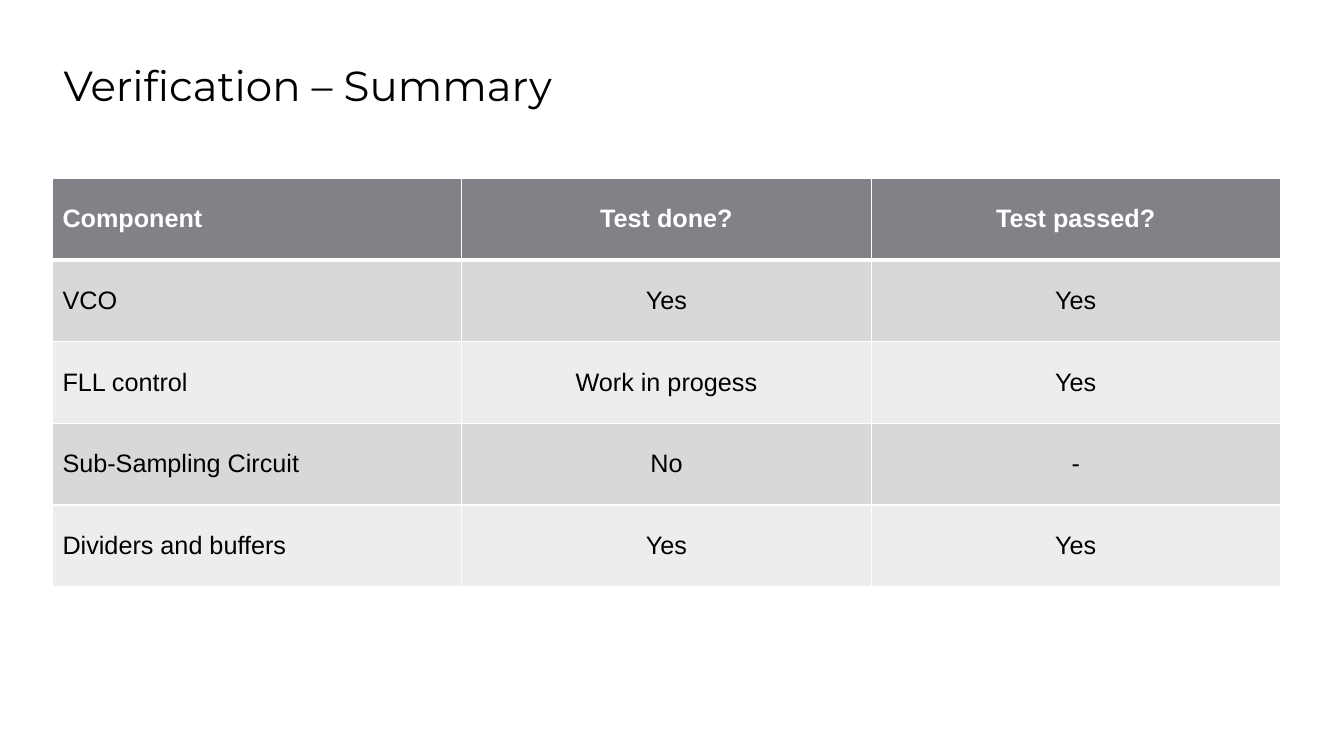
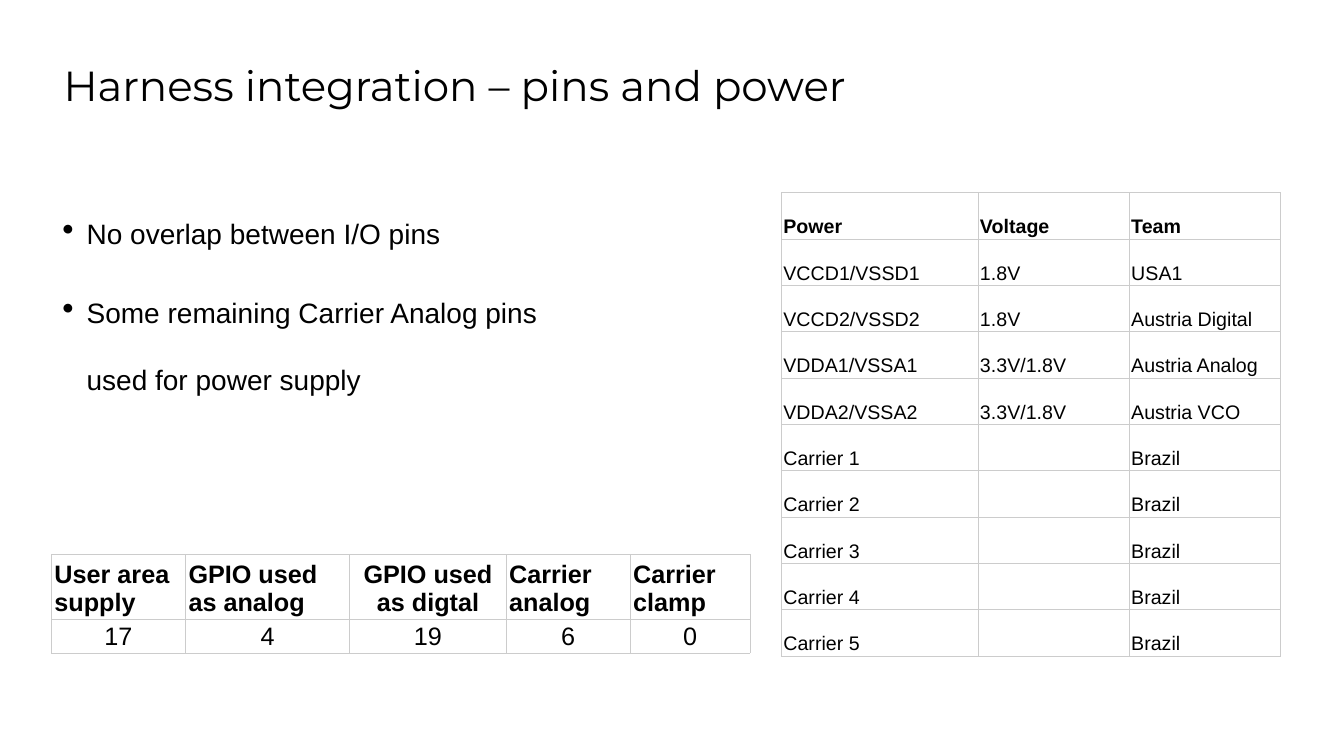
from dataclasses import dataclass

from pptx import Presentation
from pptx.dml.color import RGBColor
from pptx.enum.text import MSO_ANCHOR, MSO_AUTO_SIZE, PP_ALIGN
from pptx.oxml.ns import qn
from pptx.util import Pt
from lxml.etree import SubElement

EMU_PER_PX = 9144  # 100 px to the inch


@dataclass(frozen=True)
class Theme:
    title_font: str = "Montserrat"
    body_font: str = "Arial"
    title_size: int = 30
    bullet_size: int = 20
    table_size: int = 18
    small_size: int = 14
    black: str = "000000"
    white: str = "FFFFFF"
    header: str = "808288"
    bands: tuple = ("D8D8DA", "EDEDED")
    rule: str = "CCCCCC"


THEME = Theme()
ALIGN = {"l": PP_ALIGN.LEFT, "c": PP_ALIGN.CENTER}


def style_text(paragraph, font_name, size, color, bold=False, **paragraph_format):
    for name, value in {"name": font_name, "size": Pt(size), "bold": bold}.items():
        setattr(paragraph.font, name, value)
    paragraph.font.color.rgb = RGBColor.from_string(color)
    for name, value in paragraph_format.items():
        setattr(paragraph, name, value)


def add_grid(slide, left, top, widths, heights, rows, look):
    frame = slide.shapes.add_table(
        len(rows), len(widths), left * EMU_PER_PX, top * EMU_PER_PX,
        sum(widths) * EMU_PER_PX, sum(heights) * EMU_PER_PX)
    grid = frame.table
    grid.first_row, grid.horz_banding = True, False
    for column, width in zip(grid.columns, widths):
        column.width = width * EMU_PER_PX
    for row, height in zip(grid.rows, heights):
        row.height = height * EMU_PER_PX

    side, edge = look["margins"]
    cell_format = {
        "vertical_anchor": look["anchor"],
        "margin_left": side * EMU_PER_PX, "margin_right": side * EMU_PER_PX,
        "margin_top": edge * EMU_PER_PX, "margin_bottom": edge * EMU_PER_PX,
    }
    for r, values in enumerate(rows):
        is_header = r == 0
        aligns = look["header_aligns"] if is_header else look["body_aligns"]
        fill = look["header_fill"] if is_header else look["bands"][(r - 1) % 2]
        color = look["header_color"] if is_header else THEME.black
        for c, value in enumerate(values):
            cell = grid.cell(r, c)
            cell.text = value
            for name, setting in cell_format.items():
                setattr(cell, name, setting)
            style_text(cell.text_frame.paragraphs[0], THEME.body_font, look["size"],
                       color, is_header, alignment=ALIGN[aligns[c]])

            # Borders precede the fill in the cell properties
            properties = cell._tc.get_or_add_tcPr()
            line_widths = dict.fromkeys(("lnL", "lnR", "lnT", "lnB"), look["line"])
            if r < 2:
                line_widths["lnB" if is_header else "lnT"] = look["header_line"]
            for tag, width in line_widths.items():
                line = SubElement(properties, qn(f"a:{tag}"), w=str(Pt(width)))
                solid = SubElement(line, qn("a:solidFill"))
                SubElement(solid, qn("a:srgbClr"), val=look["line_color"])
            cell.fill.solid()
            cell.fill.fore_color.rgb = RGBColor.from_string(fill)


# Deck with shared title style
deck = Presentation()
deck.slide_width = 1333 * EMU_PER_PX
deck.slide_height = 750 * EMU_PER_PX
title_box = {"left": 53, "top": 63, "width": 1217, "height": 108}
slides = []
for heading in ("Verification – Summary", "Harness integration – pins and power"):
    slide = deck.slides.add_slide(deck.slide_layouts[5])
    title = slide.shapes.title
    for name, length in title_box.items():
        setattr(title, name, length * EMU_PER_PX)
    title.text_frame.text = heading
    for name, value in {"vertical_anchor": MSO_ANCHOR.TOP, "word_wrap": True,
                        "auto_size": MSO_AUTO_SIZE.NONE}.items():
        setattr(title.text_frame, name, value)
    style_text(title.text_frame.paragraphs[0], THEME.title_font, THEME.title_size,
               THEME.black, alignment=PP_ALIGN.LEFT, line_spacing=0.83)
    slides.append(slide)
summary, integration = slides

# Verification status
banded = {
    "size": THEME.table_size, "anchor": MSO_ANCHOR.MIDDLE, "margins": (10, 5),
    "header_aligns": "lcc", "body_aligns": "lcc",
    "header_fill": THEME.header, "header_color": THEME.white, "bands": THEME.bands,
    "line": 1, "header_line": 3, "line_color": THEME.white,
}
verification = [
    ("Component", "Test done?", "Test passed?"),
    ("VCO", "Yes", "Yes"),
    ("FLL control", "Work in progess", "Yes"),
    ("Sub-Sampling Circuit", "No", "-"),
    ("Dividers and buffers", "Yes", "Yes"),
]
add_grid(summary, 52, 177, [406] * 3, [81] * 5, verification, banded)

# Integration remarks
remarks = integration.shapes.add_textbox(
    *(length * EMU_PER_PX for length in (52, 177, 1218, 494))).text_frame
remarks.word_wrap = True
remarks.text = ("No overlap between I/O pins\n"
                "Some remaining Carrier Analog pins\vused for power supply")
for remark in remarks.paragraphs:
    style_text(remark, THEME.body_font, THEME.bullet_size, THEME.black,
               line_spacing=2.0, space_before=Pt(8))
    properties = remark._p.get_or_add_pPr()
    properties.set("marL", str(24 * EMU_PER_PX))
    properties.set("indent", str(-24 * EMU_PER_PX))
    bullet_size = properties.makeelement(qn("a:buSzPct"), {"val": "120000"})
    bullet = properties.makeelement(qn("a:buChar"), {"char": "•"})
    properties.find(qn("a:defRPr")).addprevious(bullet_size)
    bullet_size.addnext(bullet)

# Power supplies per team
ruled = {
    "size": THEME.small_size, "anchor": MSO_ANCHOR.BOTTOM, "margins": (2, 1),
    "header_aligns": "lll", "body_aligns": "lll",
    "header_fill": THEME.white, "header_color": THEME.black,
    "bands": (THEME.white, THEME.white),
    "line": 0.6, "header_line": 0.6, "line_color": THEME.rule,
}
supplies = [
    ("Power", "Voltage", "Team"),
    ("VCCD1/VSSD1", "1.8V", "USA1"),
    ("VCCD2/VSSD2", "1.8V", "Austria Digital"),
    ("VDDA1/VSSA1", "3.3V/1.8V", "Austria Analog"),
    ("VDDA2/VSSA2", "3.3V/1.8V", "Austria VCO"),
    *((f"Carrier {number}", "", "Brazil") for number in range(1, 6)),
]
add_grid(integration, 775, 191, [195, 150, 150], [46] * 10, supplies, ruled)

# Pin usage
pin_usage = [
    ("User area supply", "GPIO used as analog", "GPIO used as digtal",
     "Carrier analog", "Carrier clamp"),
    ("17", "4", "19", "6", "0"),
]
pin_look = {**ruled, "size": THEME.table_size, "margins": (3, 2),
            "header_aligns": "llcll", "body_aligns": "ccccc"}
add_grid(integration, 51, 550, [133, 163, 155, 123, 119], [60, 31], pin_usage, pin_look)

deck.save("out.pptx")
